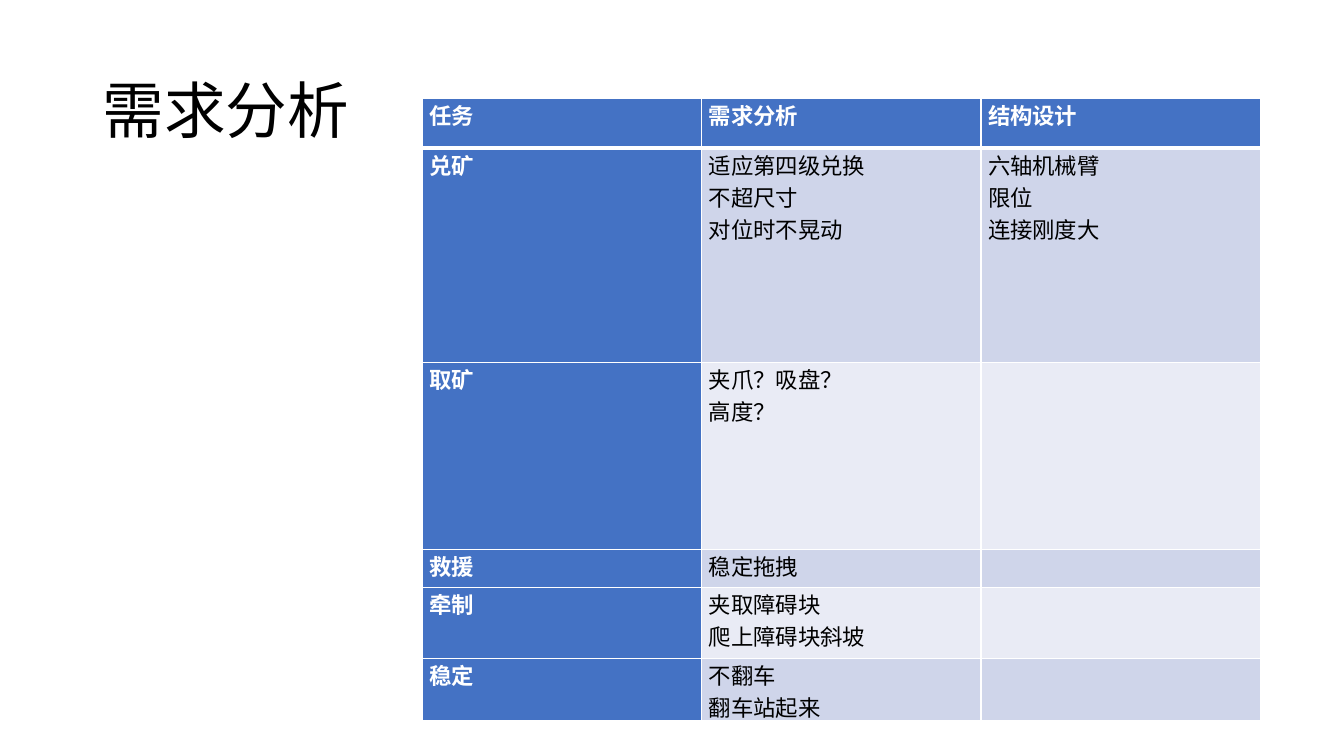
"""Build the requirements analysis slide with its task table."""
from dataclasses import dataclass

from lxml.etree import SubElement
from pptx import Presentation
from pptx.dml.color import RGBColor
from pptx.enum.text import MSO_ANCHOR, PP_ALIGN
from pptx.oxml.ns import qn
from pptx.util import Inches, Pt


@dataclass(frozen=True)
class Theme:
    font: str = "Noto Sans CJK SC"
    title_size: int = 44
    body_size: int = 16
    ink: str = "000000"
    white: str = "FFFFFF"
    accent: str = "4472C4"
    bands: tuple = ("CFD5EA", "E9EBF5")


theme = Theme()


def add_run(paragraph, text, size, color, bold=False):
    run = paragraph.add_run()
    run.text = text
    run.font.size = Pt(size)
    run.font.bold = bold
    run.font.color.rgb = RGBColor.from_string(color)
    run.font.name = theme.font
    SubElement(run.font._element, qn("a:ea"), typeface=theme.font)


def add_borders(cell, widths):
    properties = cell._tc.get_or_add_tcPr()
    for side, width in widths.items():
        border = SubElement(properties, qn(f"a:ln{side}"), w=str(Pt(width)))
        fill = SubElement(border, qn("a:solidFill"))
        SubElement(fill, qn("a:srgbClr"), val=theme.white)


presentation = Presentation()
presentation.slide_width = Inches(13.33)
presentation.slide_height = Inches(7.5)
slide = presentation.slides.add_slide(presentation.slide_layouts[6])

title = slide.shapes.add_textbox(Inches(0.92), Inches(0.4), Inches(11.5), Inches(1.45)).text_frame
title.word_wrap = True
title.vertical_anchor = MSO_ANCHOR.MIDDLE
title.paragraphs[0].line_spacing = 0.9
add_run(title.paragraphs[0], "需求分析", theme.title_size, theme.ink)

tasks = [
    (0.49, ["任务"], ["需求分析"], ["结构设计"]),
    (2.13, ["兑矿"], ["适应第四级兑换", "不超尺寸", "对位时不晃动"], ["六轴机械臂", "限位", "连接刚度大"]),
    (1.85, ["取矿"], ["夹爪？吸盘？", "高度？"], []),
    (0.38, ["救援"], ["稳定拖拽"], []),
    (0.7, ["牵制"], ["夹取障碍块", "爬上障碍块斜坡"], []),
    (0.62, ["稳定"], ["不翻车", "翻车站起来"], []),
]

table = slide.shapes.add_table(
    len(tasks), 3, Inches(4.19), Inches(0.98), Inches(8.32), Inches(6.16)
).table
table.first_row = False
table.horz_banding = False
for column in table.columns:
    column.width = Inches(2.77)

for row, (height, *entries) in enumerate(tasks):
    table.rows[row].height = Inches(height)
    for column, lines in enumerate(entries):
        cell = table.cell(row, column)
        heading = row == 0 or column == 0
        cell.margin_left = cell.margin_right = Inches(0.07)
        cell.margin_top = cell.margin_bottom = 0
        add_borders(cell, {"L": 1, "R": 1, "T": 3 if row == 1 else 1, "B": 3 if row == 0 else 1})
        cell.fill.solid()
        band = theme.bands[(row - 1) % 2]
        cell.fill.fore_color.rgb = RGBColor.from_string(theme.accent if heading else band)
        for index, line in enumerate(lines):
            frame = cell.text_frame
            paragraph = frame.add_paragraph() if index else frame.paragraphs[0]
            paragraph.alignment = PP_ALIGN.JUSTIFY
            add_run(paragraph, line, theme.body_size, theme.white if heading else theme.ink, heading)

presentation.save("out.pptx")
